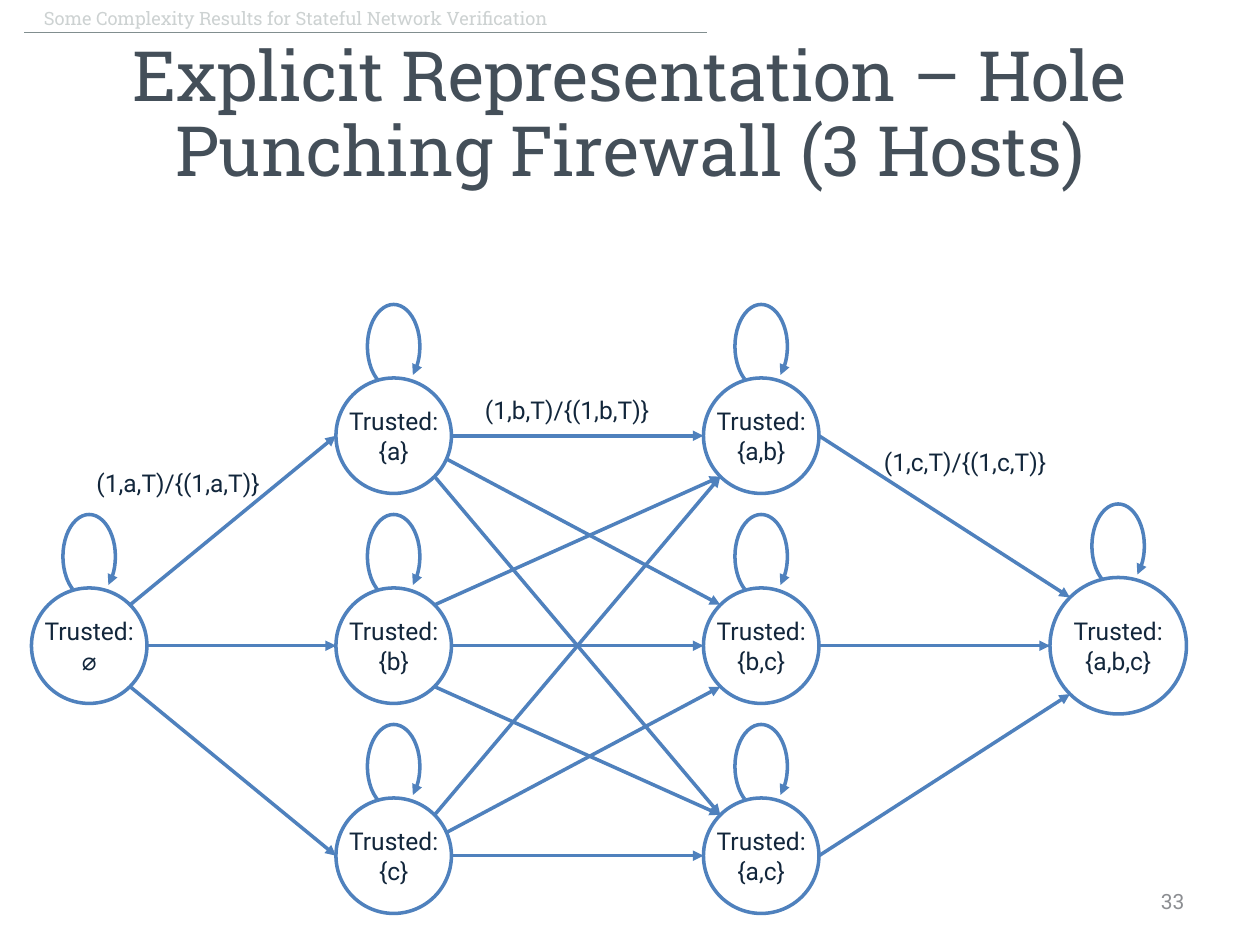
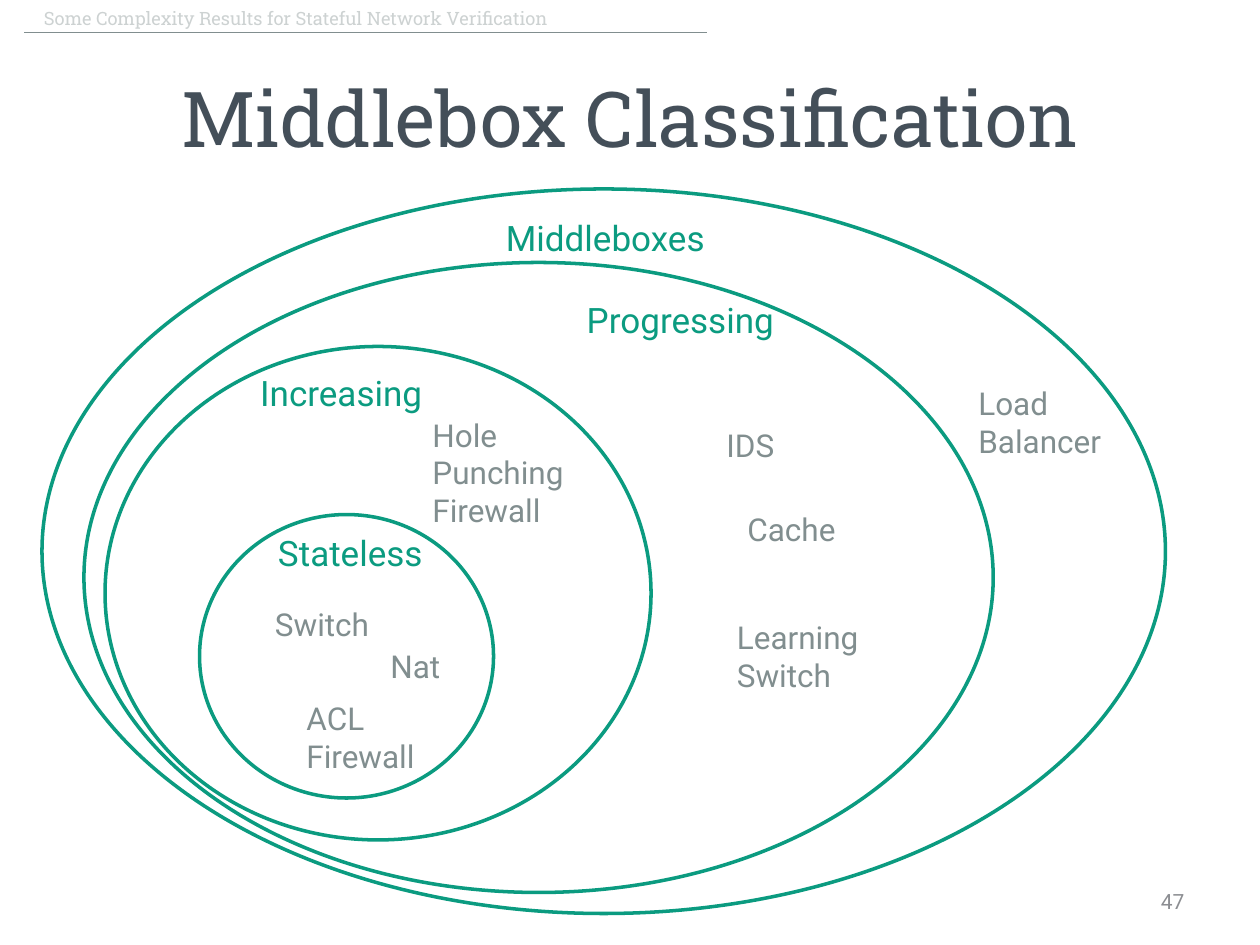
from math import cos, radians, sin

from lxml.etree import SubElement
from pptx import Presentation
from pptx.dml.color import RGBColor
from pptx.enum.shapes import MSO_CONNECTOR, MSO_SHAPE
from pptx.enum.text import MSO_ANCHOR as ANCHOR, MSO_AUTO_SIZE, PP_ALIGN as ALIGN
from pptx.oxml.ns import qn
from pptx.util import Emu, Pt

PX = 7620  # 120 px to the inch
WIDTH, HEIGHT = 1200, 900
TITLE_ONLY = 5
BODY, SLAB = "Roboto", "Roboto Slab"
INK, TITLE, GRAY, PALE, PAGE = "12263B", "444F59", "818E8F", "CDD2D2", "8C8E92"
BLUE, GREEN, WHITE = "4F81BD", "0B9B80", "FFFFFF"
HEADER = "Some Complexity Results for Stateful Network Veriﬁcation"


def px(*values):
    return [Emu(round(v) * PX) for v in values]


def rgb(value):
    return RGBColor.from_string(value)


def write(tf, text, size=14, font=BODY, color=INK, align=ALIGN.LEFT,
          anchor=ANCHOR.TOP, wrap=True, spacing=None):
    """Fill a text frame, one paragraph for each line of text."""
    tf.auto_size = MSO_AUTO_SIZE.NONE
    tf.word_wrap = wrap
    tf.vertical_anchor = anchor
    for i, line in enumerate(text.split("\n")):
        p = tf.add_paragraph() if i else tf.paragraphs[0]
        p.alignment = align
        if spacing:
            p.line_spacing = spacing
        r = p.add_run()
        r.text = line
        r.font.size = Pt(size)
        r.font.name = font
        r.font.color.rgb = rgb(color)


class Deck:
    """Holds the presentation, its style and the current slide."""

    def __init__(self):
        self.prs = Presentation()
        self.prs.slide_width, self.prs.slide_height = px(WIDTH, HEIGHT)
        self.s = None

    def slide(self, title, number, size=44, spacing=None):
        self.s = self.prs.slides.add_slide(self.prs.slide_layouts[TITLE_ONLY])
        sp = self.s.shapes.title
        sp.left, sp.top, sp.width, sp.height = px(60, 36, 1080, 150)
        write(sp.text_frame, title, size=size, font=SLAB, color=TITLE,
              align=ALIGN.CENTER, anchor=ANCHOR.MIDDLE, spacing=spacing)
        tf = self.text(HEADER, 30, 7, 586, 20, size=10.5, font=SLAB, color=PALE,
                       anchor=ANCHOR.MIDDLE)
        tf.margin_top = tf.margin_bottom = 0
        self.line((23, 31), (673, 31), GRAY, 0.75)
        self.text(str(number), 860, 834, 280, 48, size=12, color=PAGE,
                  align=ALIGN.RIGHT, anchor=ANCHOR.MIDDLE)

    def text(self, text, x, y, w, h, **style):
        tf = self.s.shapes.add_textbox(*px(x, y, w, h)).text_frame
        write(tf, text, **style)
        return tf

    def shape(self, kind, x, y, w, h, color, fill=None):
        sp = self.s.shapes.add_shape(kind, *px(x, y, w, h))
        sp.shadow.inherit = False
        if fill:
            sp.fill.solid()
            sp.fill.fore_color.rgb = rgb(fill)
        else:
            sp.fill.background()
        self.outline(sp, color, 2)
        return sp

    def ellipse(self, x, y, w, h, color, fill=None):
        return self.shape(MSO_SHAPE.OVAL, x, y, w, h, color, fill)

    def loop(self, x, y, w, h, color):
        sp = self.shape(MSO_SHAPE.ARC, x, y, w, h, color, WHITE)
        sp.adjustments[0], sp.adjustments[1] = 69.98, 33.605
        self.arrowhead(sp)

    def line(self, start, end, color, width):
        sp = self.s.shapes.add_connector(MSO_CONNECTOR.STRAIGHT, *px(*start, *end))
        self.outline(sp, color, width)
        SubElement(sp._element.spPr, qn("a:effectLst"))
        return sp

    def arrow(self, start, end, color):
        self.arrowhead(self.line(start, end, color, 2))

    @staticmethod
    def outline(sp, color, width):
        sp.line.color.rgb = rgb(color)
        sp.line.width = Pt(width)

    @staticmethod
    def arrowhead(sp):
        ln = sp._element.spPr.find(qn("a:ln"))
        SubElement(ln, qn("a:tailEnd"), type="triangle")


# Trusted set: centre x, centre y, radius
ROWS = (415, 615, 815)
STATES = {"⌀": (85, ROWS[1], 55), "{a,b,c}": (1065, ROWS[1], 65)}
for column_x, column in ((375, ("{a}", "{b}", "{c}")),
                         (725, ("{a,b}", "{b,c}", "{a,c}"))):
    STATES.update({name: (column_x, y, 55) for name, y in zip(column, ROWS)})

# From state, leaving angle, to state, arriving angle (clockwise from the right)
TRANSITIONS = [
    ("⌀", -45, "{a}", 180), ("⌀", 0, "{b}", 180), ("⌀", 45, "{c}", 180),
    ("{a}", 0, "{a,b}", 180), ("{a}", 24, "{b,c}", -135), ("{a}", 45, "{a,c}", -135),
    ("{b}", -45, "{a,b}", 135), ("{b}", 0, "{b,c}", 180), ("{b}", 45, "{a,c}", -135),
    ("{c}", -45, "{a,b}", 135), ("{c}", -24, "{b,c}", 135), ("{c}", 0, "{a,c}", 180),
    ("{a,b}", 0, "{a,b,c}", -135), ("{b,c}", 0, "{a,b,c}", 180),
    ("{a,c}", 0, "{a,b,c}", 135),
]
PACKETS = [("a", 80, 440), ("b", 450, 370), ("c", 830, 420)]

# Class name, its ellipse, and the left, top and width of its label
CLASSES = [
    ("Middleboxes", (40, 180, 1070, 690), (470, 200, 330)),
    ("Progressing", (80, 250, 866, 600), (547, 278, 433)),
    ("Increasing", (100, 330, 520, 470), (236, 348, 260)),
    ("Stateless", (190, 490, 280, 270), (253, 500, 170)),
]
EXAMPLES = [
    ("Switch", 250, 570, 140), ("Nat", 360, 610, 140), ("ACL Firewall", 280, 660, 140),
    ("Learning Switch", 690, 583, 140), ("Hole Punching Firewall", 400, 390, 200),
    ("IDS", 680, 400, 140), ("Cache", 700, 480, 140), ("Load Balancer", 920, 360, 180),
]


def rim(state, angle):
    """Point on the circle of a state at an angle in degrees."""
    x, y, radius = STATES[state]
    return x + radius * cos(radians(angle)), y + radius * sin(radians(angle))


def firewall_slide(deck):
    deck.slide("Explicit Representation – Hole Punching Firewall (3 Hosts)", 33,
               size=39.6, spacing=0.9)
    for x, y, radius in STATES.values():
        deck.ellipse(x - radius, y - radius, 2 * radius, 2 * radius, BLUE, WHITE)
        deck.loop(x - 25, y - radius - 70, 50, 80, BLUE)
    for source, leaving, target, arriving in TRANSITIONS:
        deck.arrow(rim(source, leaving), rim(target, arriving), BLUE)
    for host, x, y in PACKETS:
        deck.text(f"(1,{host},T)/{{(1,{host},T)}}", x, y, 200, 41)
    for trusted, (x, y, _) in STATES.items():
        deck.text(f"Trusted:\n{trusted}", x - 56, y - 34, 112, 68,
                  align=ALIGN.CENTER, wrap=False)


def classification_slide(deck):
    deck.slide("Middlebox Classification", 47)
    for name, oval, (x, y, w) in CLASSES:
        deck.ellipse(*oval, GREEN)
        deck.text(name, x, y, w, 53, size=20, color=GREEN)
    for name, x, y, w in EXAMPLES:
        lines = len(name.split())
        deck.text(name, x, y, w, 12 + 36 * lines, size=18, color=GRAY)


def main():
    deck = Deck()
    firewall_slide(deck)
    classification_slide(deck)
    deck.prs.save("out.pptx")


if __name__ == "__main__":
    main()
